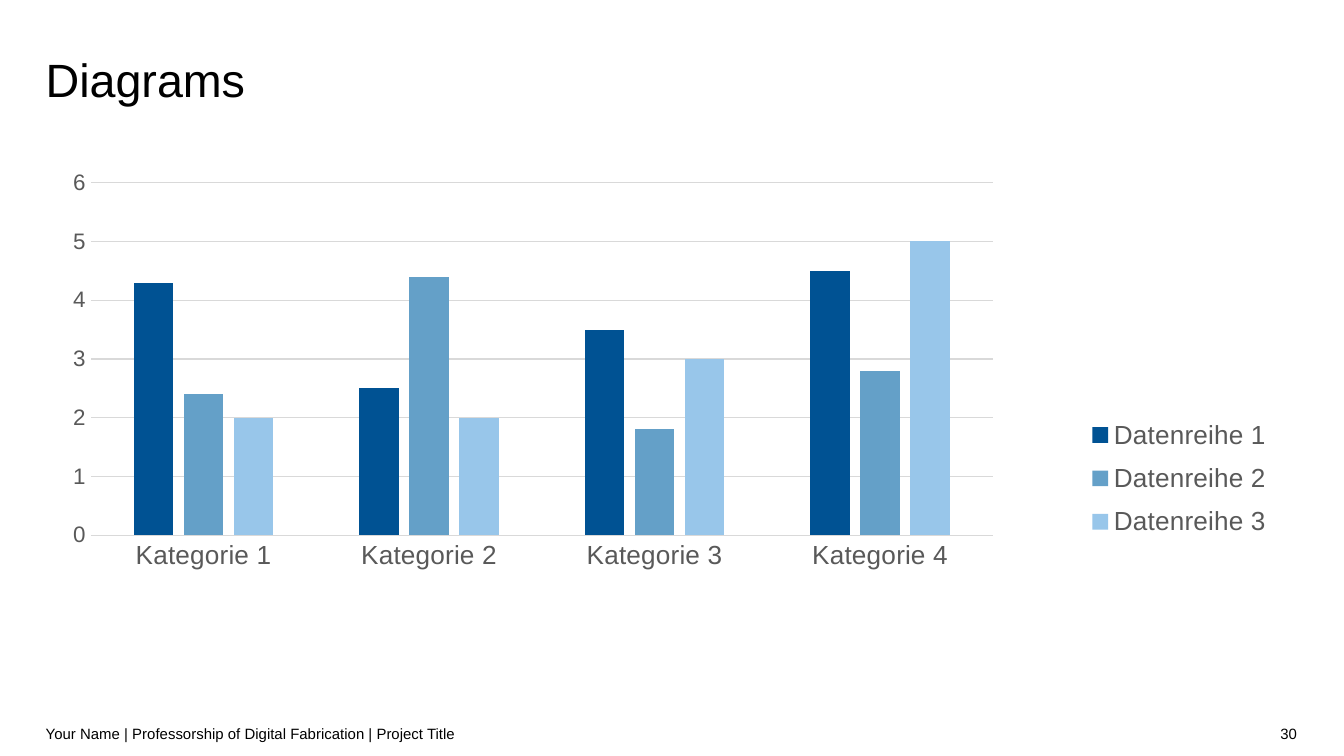
from lxml import etree
from pptx import Presentation
from pptx.chart.data import CategoryChartData
from pptx.dml.color import RGBColor
from pptx.enum.chart import XL_CHART_TYPE as ChartType
from pptx.enum.chart import XL_LEGEND_POSITION as LegendPos
from pptx.enum.chart import XL_TICK_MARK as TickMark
from pptx.enum.text import MSO_ANCHOR as Anchor
from pptx.enum.text import PP_ALIGN as Align
from pptx.oxml.ns import qn
from pptx.util import Inches, Pt

FONT = "Arial"
BLACK, GREY, LIGHT_GREY = "000000", "595959", "D9D9D9"
CATEGORIES = [f"Kategorie {number}" for number in range(1, 5)]
SERIES = [
    ("Datenreihe 1", (4.3, 2.5, 3.5, 4.5), "005293"),
    ("Datenreihe 2", (2.4, 4.4, 1.8, 2.8), "64A0C8"),
    ("Datenreihe 3", (2, 2, 3, 5), "98C6EA"),
]
PLOT_AREA = {"x": 0.035, "y": 0.049, "w": 0.721, "h": 0.711}
LEGEND_AREA = {"x": 0.82, "y": 0.5, "w": 0.17, "h": 0.29}


def rgb(value):
    return RGBColor.from_string(value)


def set_format(target, values):
    for name, value in values.items():
        setattr(target, name, value)


def style_font(font, size, color=BLACK):
    set_format(font, {"name": FONT, "size": Pt(size), "bold": False})
    font.color.rgb = rgb(color)


def style_line(line, color):
    line.color.rgb = rgb(color)
    line.width = Pt(0.75)


def fill_text(shape, text, size, align=Align.LEFT, anchor=Anchor.MIDDLE, padding=0.05):
    frame = shape.text_frame
    set_format(frame, {
        "word_wrap": True, "vertical_anchor": anchor,
        "margin_left": 0, "margin_right": 0,
        "margin_top": Inches(padding), "margin_bottom": Inches(padding),
    })
    paragraph = frame.paragraphs[0]
    paragraph.alignment = align
    run = paragraph.add_run()
    run.text = text
    style_font(run.font, size)
    return paragraph


def add_title(slide, text):
    title = slide.shapes.title
    set_format(title, {"left": Inches(0.34), "top": Inches(0.35),
                       "width": Inches(9.31), "height": Inches(0.42)})
    paragraph = fill_text(title, text, 25, anchor=Anchor.TOP, padding=0)
    paragraph.line_spacing = Pt(32)


def add_footer(slide, left, width, text, align):
    box = slide.shapes.add_textbox(Inches(left), Inches(5.31), Inches(width), Inches(0.3))
    fill_text(box, text, 8, align)


def place(layout, area, inner=False):
    """Fix a chart part at fractions of the chart's size."""
    manual = etree.SubElement(layout, qn("c:manualLayout"))
    settings = {"layoutTarget": "inner"} if inner else {}
    settings.update({"xMode": "edge", "yMode": "edge"}, **area)
    for name, value in settings.items():
        etree.SubElement(manual, qn(f"c:{name}")).set("val", str(value))


def style_axes(chart):
    for axis, size in ((chart.category_axis, 14), (chart.value_axis, 12)):
        set_format(axis, {"major_tick_mark": TickMark.NONE,
                          "minor_tick_mark": TickMark.NONE})
        style_font(axis.tick_labels.font, size, GREY)
    style_line(chart.category_axis.format.line, LIGHT_GREY)

    value_axis = chart.value_axis
    set_format(value_axis, {"minimum_scale": 0, "maximum_scale": 6, "major_unit": 1})
    value_axis.format.line.fill.background()
    style_line(value_axis.major_gridlines.format.line, LIGHT_GREY)


def style_legend(chart):
    chart.has_legend = True
    legend = chart.legend
    set_format(legend, {"position": LegendPos.BOTTOM, "include_in_layout": False})
    style_font(legend.font, 14, GREY)
    element = legend._element
    layout = element.find(qn("c:layout"))
    if layout is None:
        layout = etree.Element(qn("c:layout"))
        element.find(qn("c:legendPos")).addnext(layout)
    place(layout, LEGEND_AREA)


def add_column_chart(slide):
    data = CategoryChartData()
    data.categories = CATEGORIES
    for name, values, _ in SERIES:
        data.add_series(name, values)
    chart = slide.shapes.add_chart(
        ChartType.COLUMN_CLUSTERED,
        Inches(0.35), Inches(1.18), Inches(9.31), Inches(3.69), data).chart
    chart.has_title = False
    style_font(chart.font, 10)

    plot = chart.plots[0]
    set_format(plot, {"gap_width": 219, "overlap": -27, "vary_by_categories": False})
    for series, (_, _, color) in zip(plot.series, SERIES):
        series.format.fill.solid()
        series.format.fill.fore_color.rgb = rgb(color)

    style_axes(chart)
    style_legend(chart)
    plot_area = chart._chartSpace.chart.plotArea
    layout = plot_area.find(qn("c:layout"))
    if layout is None:
        layout = etree.Element(qn("c:layout"))
        plot_area.insert(0, layout)
    place(layout, PLOT_AREA, inner=True)


def main():
    prs = Presentation()
    prs.slide_width = Inches(10)
    prs.slide_height = Inches(10 * 9 / 16)
    slide = prs.slides.add_slide(prs.slide_layouts[5])
    add_title(slide, "Diagrams")
    add_column_chart(slide)
    add_footer(slide, 0.34, 7.07,
               "Your Name | Professorship of Digital Fabrication | Project Title", Align.LEFT)
    add_footer(slide, 7.41, 2.24, "30", Align.RIGHT)
    prs.save("out.pptx")


if __name__ == "__main__":
    main()
